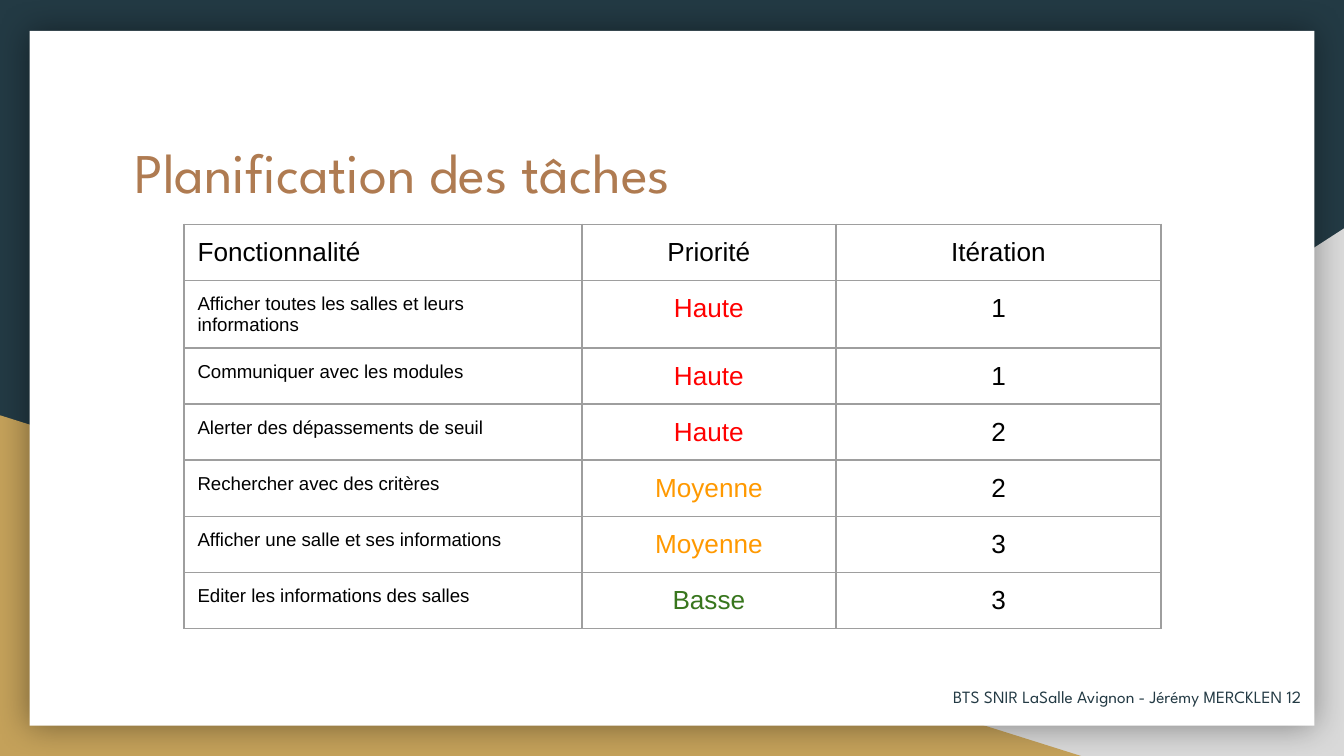
"""Build the task planning slide with its priority table."""
import pptx
import pptx.dml.color
import pptx.enum.shapes
import pptx.enum.text
import pptx.oxml
import pptx.oxml.ns
import pptx.util

Inches = pptx.util.Inches
Pt = pptx.util.Pt
SHAPE = pptx.enum.shapes.MSO_SHAPE
ALIGN = pptx.enum.text.PP_ALIGN
ANCHOR = pptx.enum.text.MSO_ANCHOR

TITLE = "Planification des tâches"
FOOTER = "BTS SNIR LaSalle Avignon - Jérémy MERCKLEN 12"
HEADINGS = ("Fonctionnalité", "Priorité", "Itération")
TASKS = [
    ("Afficher toutes les salles et leurs informations", "Haute", "1"),
    ("Communiquer avec les modules", "Haute", "1"),
    ("Alerter des dépassements de seuil", "Haute", "2"),
    ("Rechercher avec des critères", "Moyenne", "2"),
    ("Afficher une salle et ses informations", "Moyenne", "3"),
    ("Editer les informations des salles", "Basse", "3"),
]
THEME = {
    "display": "League Spartan", "body": "Arial",
    "navy": "233A44", "grey": "D9D9D9", "gold": "C4A15A", "white": "FFFFFF",
    "copper": "AF7B51", "black": "000000", "border": "9E9E9E",
    "title_size": 30, "footer_size": 9.2, "table_size": 14, "task_size": 10,
}
PRIORITY_COLOURS = {"Haute": "FF0000", "Moyenne": "FF9900", "Basse": "38761D"}
BACKDROP = [
    (SHAPE.RIGHT_TRIANGLE, (3.92, 1.7, 6.08, 3.93), "grey"),
    (SHAPE.RIGHT_TRIANGLE, (0, 3.09, 8.06, 2.54), "gold"),
    (SHAPE.RECTANGLE, (0.22, 0.23, 9.56, 5.17), "white"),
]
SLIDE_WIDTH = Inches(10)
SLIDE_HEIGHT = SLIDE_WIDTH * 9 // 16
COLUMN_WIDTHS = (2.96, 1.89, 2.42)
TABLE_HEIGHT = 2.92
MARGIN = 0.1
CELL_BOTTOM = 0.07
CARD_SHADOW = (
    f'<a:effectLst {pptx.oxml.ns.nsdecls("a")}>'
    '<a:outerShdw blurRad="228600" dist="0" algn="ctr" rotWithShape="0">'
    '<a:srgbClr val="000000"><a:alpha val="40000"/></a:srgbClr>'
    '</a:outerShdw></a:effectLst>'
)


def rgb(value):
    """Turn a hex string into a colour."""
    return pptx.dml.color.RGBColor.from_string(value)


def write(frame, text, font, size, colour, align=ALIGN.LEFT):
    """Fill a text frame with one formatted paragraph."""
    frame.text = text
    frame.word_wrap = True
    paragraph = frame.paragraphs[0]
    paragraph.alignment = align
    run_font = paragraph.runs[0].font
    run_font.name = font
    run_font.size = Pt(size)
    run_font.color.rgb = rgb(colour)


def set_margins(holder, bottom=MARGIN):
    """Set the inner margins of a text frame or cell."""
    for side in ("left", "top", "right"):
        setattr(holder, f"margin_{side}", Inches(MARGIN))
    holder.margin_bottom = Inches(bottom)


def add_backdrop(slide):
    """Draw the coloured corners and the white card."""
    slide.background.fill.solid()
    slide.background.fill.fore_color.rgb = rgb(THEME["navy"])
    panels = []
    for kind, box, colour in BACKDROP:
        panel = slide.shapes.add_shape(kind, *map(Inches, box))
        panel.shadow.inherit = False
        panel.fill.solid()
        panel.fill.fore_color.rgb = rgb(THEME[colour])
        panel.line.fill.background()
        panels.append(panel)
    grey_corner, _, card = panels
    grey_corner._element.spPr.xfrm.set("flipH", "1")
    properties = card._element.spPr
    properties.remove(properties.find(pptx.oxml.ns.qn("a:effectLst")))
    properties.append(pptx.oxml.parse_xml(CARD_SHADOW))


def add_title(slide):
    """Place the title above the card."""
    title = slide.shapes.title
    slide.shapes._spTree.append(title._element)
    title.left, title.top, title.width, title.height = map(Inches, (0.9, 0.92, 8.21, 1.04))
    write(title.text_frame, TITLE, THEME["display"], THEME["title_size"], THEME["copper"])
    title.text_frame.vertical_anchor = ANCHOR.TOP
    title.text_frame.auto_size = pptx.enum.text.MSO_AUTO_SIZE.NONE
    set_margins(title.text_frame)


def add_footer(slide):
    """Place the credit line at the lower right."""
    footer = slide.shapes.add_textbox(*map(Inches, (6.5, 4.97, 3.28, 0.43))).text_frame
    write(footer, FOOTER, THEME["display"], THEME["footer_size"], THEME["navy"], ALIGN.RIGHT)
    footer.vertical_anchor = ANCHOR.MIDDLE
    set_margins(footer)


def add_borders(cell):
    """Draw a thin line on each side of a cell."""
    properties = cell._tc.get_or_add_tcPr()
    for position, side in enumerate(("lnL", "lnR", "lnT", "lnB")):
        line = pptx.oxml.parse_xml(
            f'<a:{side} {pptx.oxml.ns.nsdecls("a")} w="{Pt(1)}"><a:solidFill>'
            f'<a:srgbClr val="{THEME["border"]}"/></a:solidFill></a:{side}>')
        properties.insert(position, line)


def add_tasks(slide):
    """Lay out the task table."""
    rows = [HEADINGS] + TASKS
    table = slide.shapes.add_table(
        len(rows), len(HEADINGS), Inches(1.37), Inches(1.67),
        Inches(sum(COLUMN_WIDTHS)), Inches(TABLE_HEIGHT)).table
    table.first_row = table.horz_banding = False
    for column, width in zip(table.columns, COLUMN_WIDTHS):
        column.width = Inches(width)
    for row_index, values in enumerate(rows):
        table.rows[row_index].height = Inches(TABLE_HEIGHT / len(rows))
        for column_index, value in enumerate(values):
            cell = table.cell(row_index, column_index)
            is_task = row_index > 0 and column_index == 0
            write(cell.text_frame, value, THEME["body"],
                  THEME["task_size" if is_task else "table_size"],
                  PRIORITY_COLOURS.get(value, THEME["black"]),
                  ALIGN.CENTER if column_index else ALIGN.LEFT)
            set_margins(cell, CELL_BOTTOM)
            cell.fill.background()
            add_borders(cell)


def main():
    """Assemble and save the slide."""
    deck = pptx.Presentation()
    deck.slide_width, deck.slide_height = SLIDE_WIDTH, SLIDE_HEIGHT
    slide = deck.slides.add_slide(deck.slide_layouts[5])
    add_backdrop(slide)
    add_title(slide)
    add_footer(slide)
    add_tasks(slide)
    deck.save("out.pptx")


if __name__ == "__main__":
    main()
